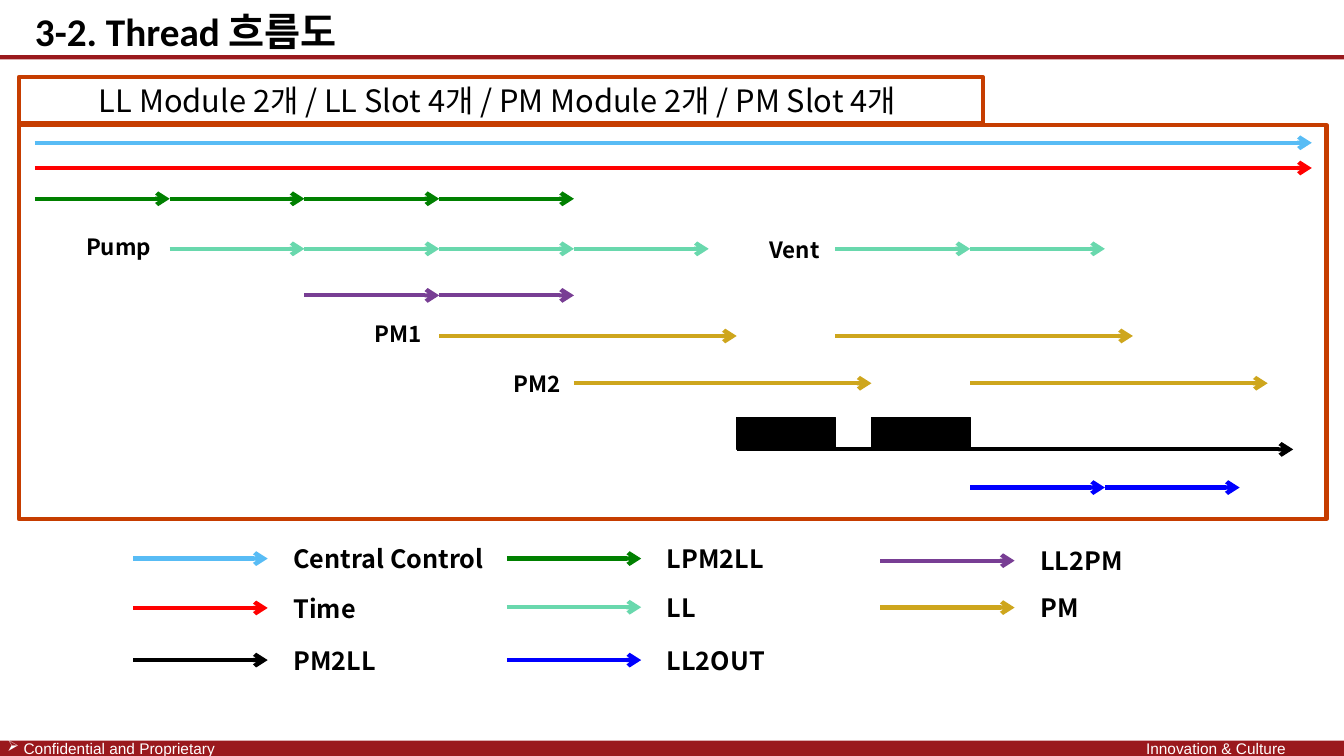
from dataclasses import dataclass

from lxml.etree import SubElement
from pptx import Presentation
from pptx.dml.color import RGBColor
from pptx.enum.shapes import MSO_CONNECTOR, MSO_SHAPE
from pptx.enum.text import MSO_ANCHOR, PP_ALIGN
from pptx.oxml.ns import qn
from pptx.util import Pt


@dataclass(frozen=True)
class Theme:
    band: str = "9A191D"
    frame: str = "C63D00"
    ink: str = "000000"
    paper: str = "FFFFFF"
    central: str = "58BCF5"
    time: str = "FF0000"
    lpm2ll: str = "008000"
    ll: str = "69D8AD"
    ll2pm: str = "783E94"
    pm: str = "CEA61D"
    pm2ll: str = "000000"
    ll2out: str = "0000FF"
    body_font: str = "Noto Sans CJK KR"
    title_font: str = "Calibri"
    footer_font: str = "Arial"
    title_size: int = 28
    header_size: int = 22
    legend_size: int = 18
    lane_size: int = 16
    footer_size: int = 11
    stroke: float = 3


class SlideBuilder:
    def __init__(self, slide, theme):
        self.shapes = slide.shapes
        self.theme = theme

    def box(self, left, top, width, height, fill=None, line=None, stroke=0.75):
        rect = self.shapes.add_shape(MSO_SHAPE.RECTANGLE, Pt(left), Pt(top), Pt(width), Pt(height))
        rect.shadow.inherit = False
        if fill:
            rect.fill.solid()
            rect.fill.fore_color.rgb = RGBColor.from_string(fill)
        else:
            rect.fill.background()
        if line:
            rect.line.color.rgb = RGBColor.from_string(line)
            rect.line.width = Pt(stroke)
        else:
            rect.line.fill.background()
        return rect

    def set_text(self, frame, words, size, font=None, color=None, bold=True, align=PP_ALIGN.LEFT):
        frame.word_wrap = True
        frame.text = words
        paragraph = frame.paragraphs[0]
        paragraph.alignment = align
        for run in paragraph.runs:
            run.font.size = Pt(size)
            run.font.bold = bold
            run.font.name = font or self.theme.body_font
            run.font.color.rgb = RGBColor.from_string(color or self.theme.ink)
            east_asian = SubElement(run.font._element, qn("a:ea"))
            east_asian.set("typeface", self.theme.body_font)
            # The schema wants a:latin before a:ea, which the order above gives.

    def label(self, left, top, width, height, words, size, **style):
        frame = self.shapes.add_textbox(Pt(left), Pt(top), Pt(width), Pt(height)).text_frame
        self.set_text(frame, words, size, **style)
        return frame

    def footer(self, left, width, words, bullet=None):
        frame = self.label(left, 527, width, 15, words, self.theme.footer_size,
                           font=self.theme.footer_font, color=self.theme.paper, bold=False)
        frame.margin_top = frame.margin_bottom = Pt(0.75)
        if bullet:
            properties = frame.paragraphs[0]._p.get_or_add_pPr()
            SubElement(properties, qn("a:buChar")).set("char", bullet)

    def arrow(self, start, y, length, color):
        connector = self.shapes.add_connector(
            MSO_CONNECTOR.STRAIGHT, Pt(start), Pt(y), Pt(start + length), Pt(y))
        connector.line.color.rgb = RGBColor.from_string(color)
        connector.line.width = Pt(self.theme.stroke)
        SubElement(connector.line._get_or_add_ln(), qn("a:tailEnd")).set("type", "arrow")
        SubElement(connector._element.spPr, qn("a:effectLst"))

    def arrow_chain(self, start, y, length, color, count):
        for step in range(count):
            self.arrow(start + step * length, y, length, color)


def draw_page(page):
    theme = page.theme
    page.box(0, 529, 960, 11, fill=theme.band)
    page.box(0, 39.5, 960, 3, fill=theme.band)
    page.footer(-2, 596, " Confidential and Proprietary", bullet="➢")
    page.footer(811.5, 148, "Innovation & Culture")
    page.label(0, 2, 265.5, 40, "3-2. Thread 흐름도", theme.title_size,
               font=theme.title_font, align=PP_ALIGN.CENTER)
    page.box(13.5, 89.25, 934, 281.5, line=theme.frame, stroke=theme.stroke)
    header = page.box(13.5, 55, 688.5, 33.25, line=theme.frame, stroke=theme.stroke).text_frame
    header.vertical_anchor = MSO_ANCHOR.MIDDLE
    page.set_text(header, "LL Module 2개 / LL Slot 4개 / PM Module 2개 / PM Slot 4개 ",
                  theme.header_size, bold=False, align=PP_ALIGN.CENTER)


def draw_timeline(page):
    """Each start time follows from the move, process and return durations."""
    theme = page.theme
    origin, move, process, unload = 25, 96.25, 212.5, 70.5
    pump, to_pm, pm1, pm2 = (origin + move * step for step in range(1, 5))
    pm1_done, pm2_done = pm1 + process, pm2 + process
    vent, out = pm1_done + unload, pm2_done + unload

    page.arrow(origin, 102, 912, theme.central)
    page.arrow(origin, 120, 912, theme.time)
    for start, y, length, color, count in [
        (origin, 142, move, theme.lpm2ll, 4),
        (pump, 177.75, move, theme.ll, 4),
        (vent, 177.75, move, theme.ll, 2),
        (to_pm, 211, move, theme.ll2pm, 2),
        (pm1, 240, process, theme.pm, 1),
        (vent, 240, process, theme.pm, 1),
        (pm2, 273.75, process, theme.pm, 1),
        (out, 273.75, process, theme.pm, 1),
        (pm1_done, 321, 397.5, theme.pm2ll, 1),
        (out, 348.25, move, theme.ll2out, 2),
    ]:
        page.arrow_chain(start, y, length, color, count)
    for start in (pm1_done, pm2_done):
        page.box(start, 298.25, unload, 22.5, fill=theme.pm2ll, line=theme.pm2ll)
    for words, right, top, width in [
        ("Pump", pump, 162.75, 73),
        ("Vent", vent, 165, 58.5),
        ("PM1", pm1, 224.75, 58.5),
        ("PM2", pm2, 260.5, 52),
    ]:
        page.label(right - width, top, width, 26, words, theme.lane_size, align=PP_ALIGN.CENTER)


def draw_legend(page):
    theme = page.theme
    columns = [
        [("Central Control", theme.central, 399), ("Time", theme.time, 434.25),
         ("PM2LL", theme.pm2ll, 471.5)],
        [("LPM2LL", theme.lpm2ll, 399), ("LL", theme.ll, 433.75),
         ("LL2OUT", theme.ll2out, 471.5)],
        [("LL2PM", theme.ll2pm, 400.5), ("PM", theme.pm, 434)],
    ]
    for column, entries in enumerate(columns):
        left = 95.25 + column * 266.75
        for words, color, y in entries:
            page.arrow(left, y, 96, color)
            page.label(left + 107.25, y - 14.25, 155, 29, words, theme.legend_size)


def main():
    deck = Presentation()
    deck.slide_width, deck.slide_height = Pt(960), Pt(540)
    page = SlideBuilder(deck.slides.add_slide(deck.slide_layouts[6]), Theme())
    draw_page(page)
    draw_timeline(page)
    draw_legend(page)
    deck.save("out.pptx")


if __name__ == "__main__":
    main()
